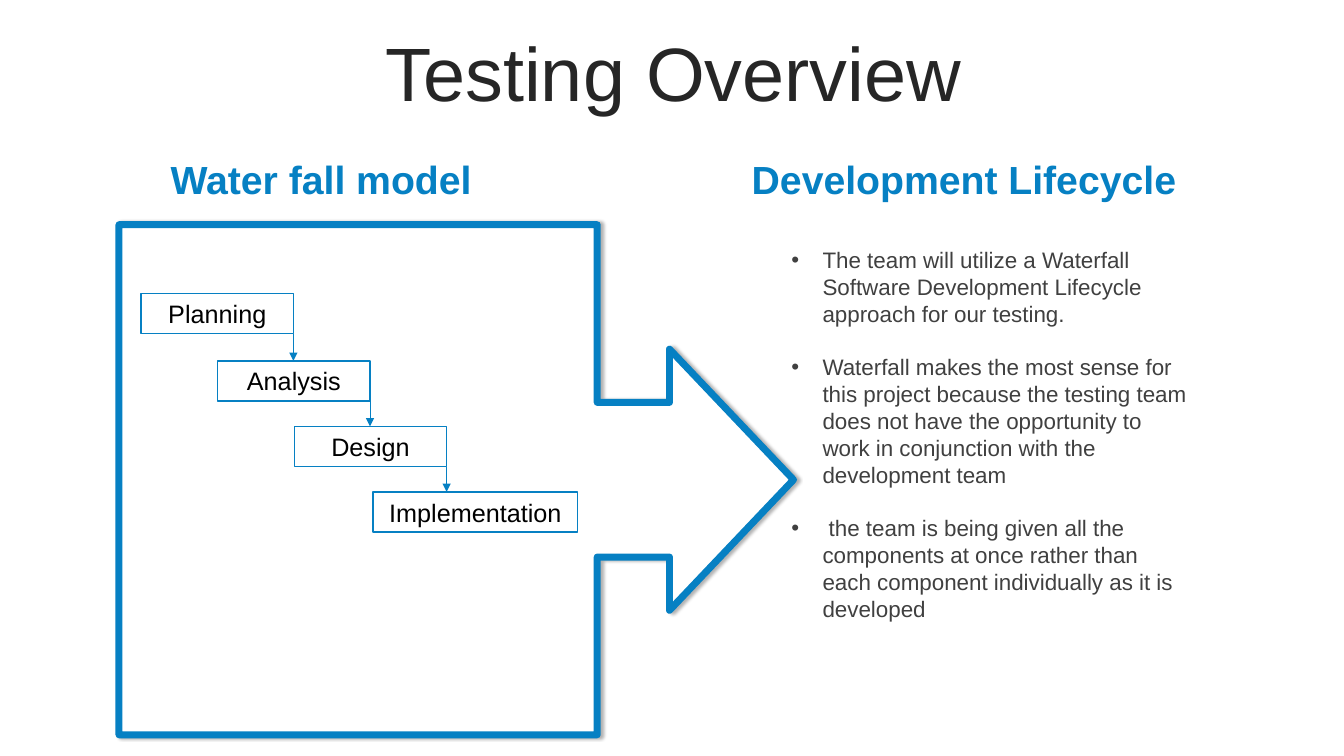
"""Build the Testing Overview slide: a waterfall model beside its rationale."""
from dataclasses import dataclass

from lxml.etree import SubElement
from pptx import Presentation
from pptx.dml.color import RGBColor
from pptx.enum.shapes import MSO_CONNECTOR as Connector, MSO_SHAPE as Shape
from pptx.enum.text import MSO_ANCHOR as Anchor, PP_ALIGN as Align
from pptx.oxml import parse_xml
from pptx.oxml.ns import nsdecls, qn
from pptx.util import Inches, Pt

FONT = "Arial"
COLORS = {
    "white": "FFFFFF",
    "blue": "0680C3",
    "title": "262626",
    "body": "404040",
    "black": "000000",
}


@dataclass(frozen=True)
class Heading:
    text: str
    left: float
    top: float
    width: float
    height: float
    size: int
    color: str
    bold: bool


@dataclass(frozen=True)
class Stage:
    text: str
    left: float
    top: float
    width: float = 1.51
    height: float = 0.4

    @property
    def right(self) -> float:
        return self.left + self.width

    @property
    def bottom(self) -> float:
        return self.top + self.height


TITLE = Heading("Testing Overview", 0.35, 0.37, 12.66, 0.79, 54, "title", False)
HEADINGS = [
    Heading("Water fall model", -0.9, 1.49, 8.17, 0.57, 28, "blue", True),
    Heading("Development Lifecycle", 7.24, 1.49, 4.64, 0.57, 28, "blue", True),
]
STAGES = [
    Stage("Planning", 1.4, 2.91),
    Stage("Analysis", 2.16, 3.58),
    Stage("Design", 2.92, 4.23),
    Stage("Implementation", 3.7, 4.88, width=2.03),
]
REASONS = [
    "The team will utilize a Waterfall Software Development Lifecycle "
    "approach for our testing.",
    "Waterfall makes the most sense for this project because the testing team "
    "does not have the opportunity to work in conjunction with the development team",
    " the team is being given all the components at once rather than each "
    "component individually as it is developed",
]


def rgb(name: str) -> RGBColor:
    return RGBColor.from_string(COLORS[name])


def style(para, size: int, color: str, bold: bool = False) -> None:
    for span in para.runs:
        span.font.name = FONT
        span.font.size = Pt(size)
        span.font.bold = bold
        span.font.color.rgb = rgb(color)


def add_heading(page, heading: Heading):
    box = page.shapes.add_textbox(
        Inches(heading.left), Inches(heading.top),
        Inches(heading.width), Inches(heading.height))
    box.text_frame.word_wrap = True
    box.text_frame.text = heading.text
    para = box.text_frame.paragraphs[0]
    para.alignment = Align.CENTER
    style(para, heading.size, heading.color, heading.bold)
    return box


def add_title(page) -> None:
    frame = add_heading(page, TITLE).text_frame
    frame.vertical_anchor = Anchor.MIDDLE
    frame.paragraphs[0].line_spacing = 0.9
    frame.paragraphs[0].space_before = Pt(10)


def add_reasons(page) -> None:
    box = page.shapes.add_textbox(Inches(7.75), Inches(2.39), Inches(4.12), Inches(3.87))
    frame = box.text_frame
    frame.word_wrap = True
    frame.text = "\n".join(REASONS)
    for index, para in enumerate(frame.paragraphs):
        para.line_spacing = Pt(19.3)
        para.space_before = Pt(18.5 if index else 0)
        style(para, 16, "body")
        properties = para._p.get_or_add_pPr()
        properties.set("marL", str(Inches(0.31)))
        properties.set("indent", str(Inches(-0.31)))
        SubElement(properties, qn("a:buFont")).set("typeface", FONT)
        SubElement(properties, qn("a:buChar")).set("char", "•")


def outline(shape, width: float) -> None:
    shape.shadow.inherit = False
    shape.fill.solid()
    shape.fill.fore_color.rgb = rgb("white")
    shape.line.color.rgb = rgb("blue")
    shape.line.width = Pt(width)


def add_callout(page) -> None:
    callout = page.shapes.add_shape(
        Shape.RIGHT_ARROW_CALLOUT, Inches(1.18), Inches(2.23), Inches(6.69), Inches(5.06))
    for index, value in enumerate([0.303, 0.256, 0.243, 0.709]):
        callout.adjustments[index] = value
    outline(callout, 5)
    effects = callout._element.spPr.find(qn("a:effectLst"))
    effects.append(parse_xml(
        f'<a:outerShdw {nsdecls("a")} blurRad="{Pt(2)}" dist="{Pt(2)}" dir="0">'
        f'<a:srgbClr val="{COLORS["black"]}"><a:alpha val="30000"/></a:srgbClr>'
        '</a:outerShdw>'))


def add_stage(page, stage: Stage) -> None:
    box = page.shapes.add_shape(
        Shape.RECTANGLE, Inches(stage.left), Inches(stage.top),
        Inches(stage.width), Inches(stage.height))
    outline(box, 1)
    frame = box.text_frame
    frame.word_wrap = True
    frame.vertical_anchor = Anchor.TOP
    frame.text = stage.text
    frame.paragraphs[0].alignment = Align.CENTER
    style(frame.paragraphs[0], 18, "black")


def add_step_arrow(page, upper: Stage, lower: Stage) -> None:
    arrow = page.shapes.add_connector(
        Connector.STRAIGHT, Inches(upper.right), Inches(upper.bottom),
        Inches(upper.right), Inches(lower.top))
    arrow.line.color.rgb = rgb("blue")
    arrow.line.width = Pt(0.5)
    SubElement(arrow.line._get_or_add_ln(), qn("a:tailEnd")).set("type", "triangle")
    SubElement(arrow._element.spPr, qn("a:effectLst"))


def main() -> None:
    deck = Presentation()
    deck.slide_width = Inches(13.33)
    deck.slide_height = Inches(7.5)
    page = deck.slides.add_slide(deck.slide_layouts[6])
    add_title(page)
    add_reasons(page)
    add_callout(page)
    for heading in HEADINGS:
        add_heading(page, heading)
    for stage in STAGES:
        add_stage(page, stage)
    for upper, lower in zip(STAGES, STAGES[1:]):
        add_step_arrow(page, upper, lower)
    deck.save("out.pptx")


if __name__ == "__main__":
    main()
